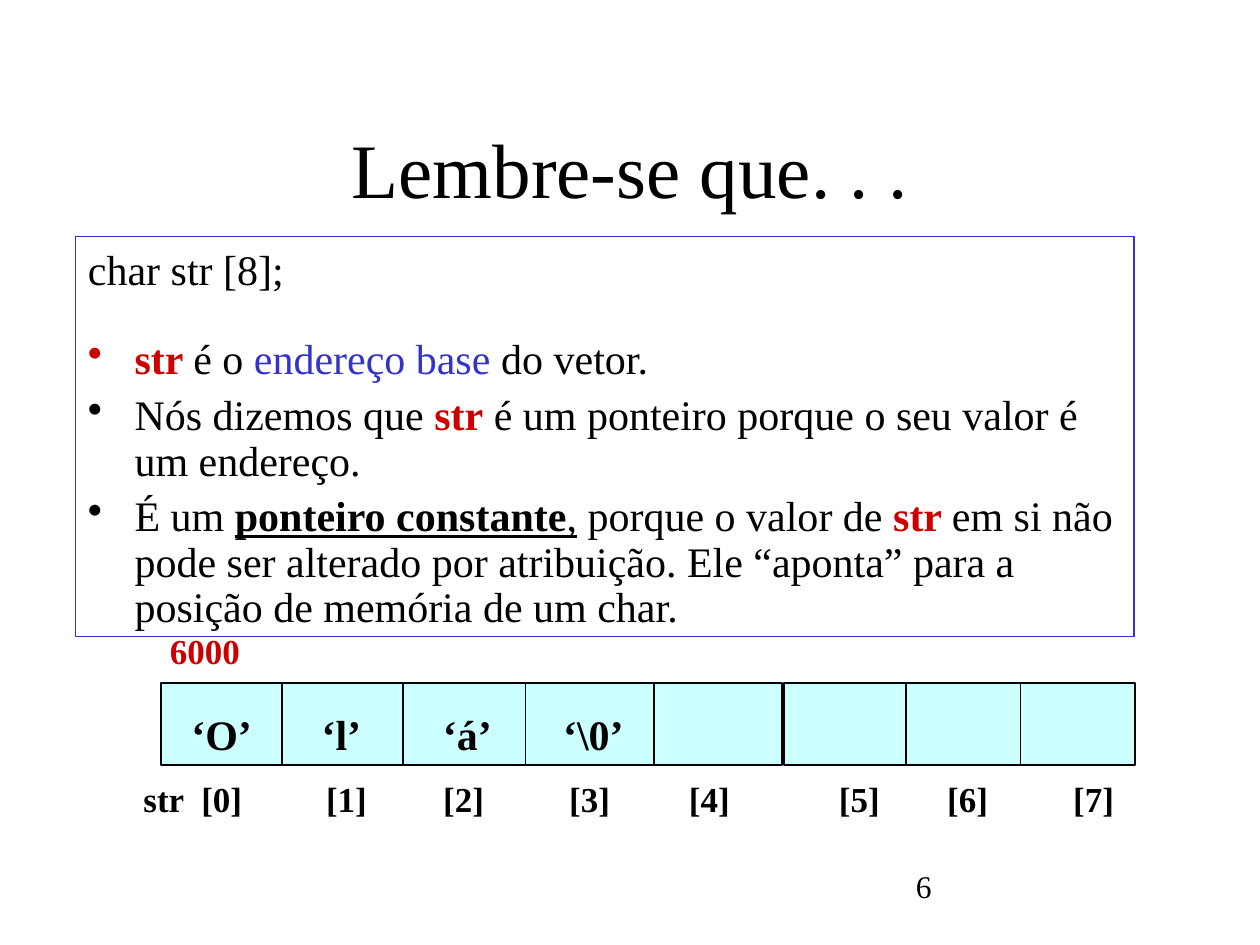
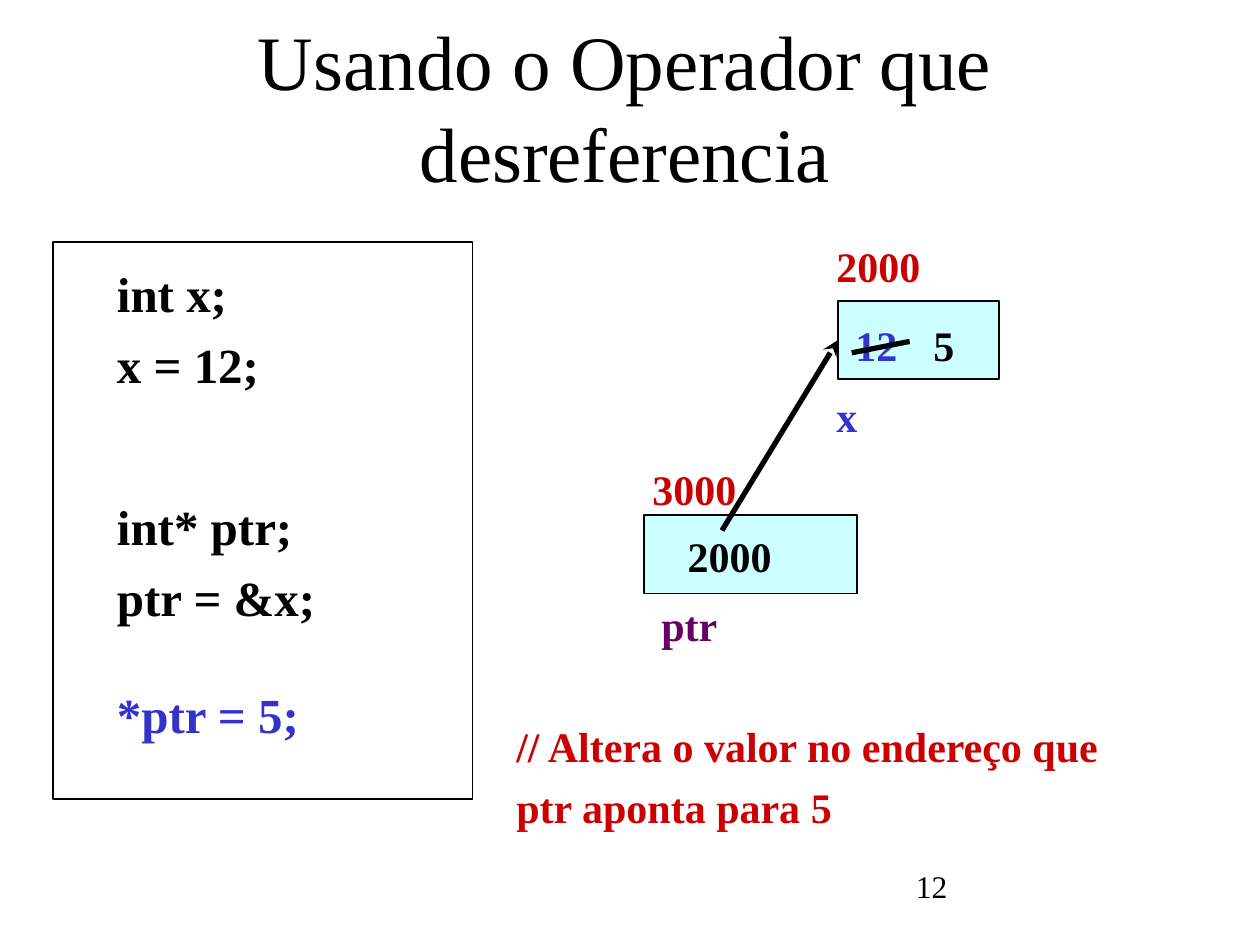
import pptx
import pptx.util
import pptx.dml.color
import pptx.enum.shapes
import pptx.enum.text
import pptx.oxml.ns
import lxml.etree

Inches = pptx.util.Inches
Pt = pptx.util.Pt
ALIGN = pptx.enum.text.PP_ALIGN
ANCHOR = pptx.enum.text.MSO_ANCHOR

COLORS = {
    "black": "000000",
    "white": "FFFFFF",
    "red": "CC0000",
    "blue": "3333CC",
    "purple": "660066",
    "cell": "CCFFFF",
}


def rgb(name):
    return pptx.dml.color.RGBColor.from_string(COLORS[name])


def add_xml(parent, tag, **attributes):
    return lxml.etree.SubElement(parent, pptx.oxml.ns.qn(tag), **attributes)


class Deck:
    font_name = "Times New Roman"

    def __init__(self):
        self.presentation = pptx.Presentation()
        self.presentation.slide_width = Inches(10)
        self.presentation.slide_height = Inches(7.5)
        self.slide = None

    def new_slide(self, title, left, top, width, number):
        self.slide = self.presentation.slides.add_slide(self.presentation.slide_layouts[6])
        self.label(str(number), 7.17, 6.83, 2.08, 0.5, size=18, bold=False)
        self.label(title, left, top, width, 1.25, size=44, bold=False,
                   align=ALIGN.CENTER, anchor=ANCHOR.BOTTOM)

    def run(self, paragraph, text, size, color="black", **formats):
        run = paragraph.add_run()
        run.text = text
        run.font.color.rgb = rgb(color)
        for name, value in {"name": self.font_name, "size": Pt(size), **formats}.items():
            setattr(run.font, name, value)

    def text_box(self, left, top, width, height, wrap=True, anchor=ANCHOR.TOP, inset_top=0.05):
        box = self.slide.shapes.add_textbox(Inches(left), Inches(top), Inches(width), Inches(height))
        formats = {
            "word_wrap": wrap,
            "vertical_anchor": anchor,
            "margin_left": Inches(0.1),
            "margin_right": Inches(0.1),
            "margin_top": Inches(inset_top),
            "margin_bottom": Inches(0.05),
        }
        for name, value in formats.items():
            setattr(box.text_frame, name, value)
        return box

    def label(self, text, left, top, width, height=0.51, size=24, color="black", bold=True,
              align=ALIGN.LEFT, anchor=ANCHOR.TOP):
        box = self.text_box(left, top, width, height, anchor=anchor)
        paragraph = box.text_frame.paragraphs[0]
        paragraph.alignment = align
        self.run(paragraph, text, size, color, bold=bold)
        return box

    def centered_labels(self, texts, centers, top, size):
        width = 0.8
        for text, center in zip(texts, centers):
            self.label(text, center - width / 2, top, width, size=size, align=ALIGN.CENTER)

    def paragraphs(self, box, items, size, line_spacing=1.0):
        frame = box.text_frame
        for index, (space_before, bullet_color, runs) in enumerate(items):
            paragraph = frame.add_paragraph() if index else frame.paragraphs[0]
            paragraph.space_before = Pt(space_before)
            paragraph.line_spacing = line_spacing
            if bullet_color:
                self.bullet(paragraph, bullet_color)
            for text, formats in runs:
                self.run(paragraph, text, size, **formats)

    def bullet(self, paragraph, color):
        properties = paragraph._p.get_or_add_pPr()
        properties.set("marL", str(Inches(0.37)))
        properties.set("indent", str(-Inches(0.37)))
        add_xml(add_xml(properties, "a:buClr"), "a:srgbClr", val=COLORS[color])
        add_xml(properties, "a:buChar", char="•")

    def rectangle(self, left, top, width, height, fill="cell"):
        shape = self.slide.shapes.add_shape(
            pptx.enum.shapes.MSO_SHAPE.RECTANGLE,
            Inches(left), Inches(top), Inches(width), Inches(height))
        shape.shadow.inherit = False
        self.fill(shape, fill)
        self.outline(shape, "black", 1)
        return shape

    def fill(self, shape, color):
        shape.fill.solid()
        shape.fill.fore_color.rgb = rgb(color)

    def outline(self, shape, color, width):
        shape.line.color.rgb = rgb(color)
        shape.line.width = Pt(width)

    def line(self, start, end, width=1, target=None, arrow=False):
        connector = self.slide.shapes.add_connector(
            pptx.enum.shapes.MSO_CONNECTOR.STRAIGHT,
            *(Inches(value) for value in (*start, *end)))
        self.outline(connector, "black", width)
        if target is not None:
            connector.end_connect(target, 1)
        if arrow:
            add_xml(connector.line._get_or_add_ln(), "a:tailEnd", type="stealth")
        add_xml(connector._element.spPr, "a:effectLst")


def build_array_slide(deck):
    deck.new_slide("Lembre-se que. . .", 0.75, 0.5, 8.5, 6)
    plain = {}
    red_bold = {"color": "red", "bold": True}
    body = deck.text_box(0.6, 1.88, 8.4, 3.17, inset_top=0.1)
    deck.outline(body, "blue", 0.75)
    deck.paragraphs(body, [
        (7, None, [("char str [8];", plain)]),
        (25, "red", [("str ", red_bold), ("é o ", plain),
                     ("endereço base ", {"color": "blue"}), ("do vetor.", plain)]),
        (6, "black", [("Nós dizemos que ", plain), ("str", red_bold),
                      (" é um ponteiro porque o seu valor é um endereço.", plain)]),
        (6, "black", [("É um ", plain),
                      ("ponteiro constante", {"bold": True, "underline": True}),
                      (",", {"underline": True}), (" porque o valor de ", plain),
                      ("str ", red_bold),
                      ("em si não pode ser alterado por atribuição. Ele “aponta” "
                       "para a posição de memória de um char.", plain)]),
    ], size=24, line_spacing=0.9)

    array_top, array_height = 5.42, 0.65
    for left, width, dividers in ((1.28, 4.93, (2.24, 3.2, 4.17, 5.19)),
                                  (6.22, 2.79, (7.19, 8.1))):
        deck.rectangle(left, array_top, width, array_height)
        for x in dividers:
            deck.line((x, array_top), (x, array_top + array_height + 0.01))

    deck.centered_labels(("‘O’", "‘l’", "‘á’", "‘\\0’"), (1.76, 2.71, 3.71, 4.71), 5.57, 24)
    index_centers = (1.76, 2.75, 3.68, 4.68, 5.63, 6.82, 7.68, 8.68)
    deck.centered_labels([f"[{index}]" for index in range(8)], index_centers, 6.12, 20)
    deck.label("str", 1.04, 6.12, 0.6, size=20)
    deck.label("6000", 1.25, 4.95, 0.76, size=20, color="red")


def build_pointer_slide(deck):
    deck.new_slide("Usando o Operador que desreferencia", 0.67, 0.37, 8.58, 12)
    deck.rectangle(0.42, 1.92, 3.33, 4.42, fill="white")
    code = deck.text_box(0.83, 2.04, 2.75, 4.3)
    code_lines = (
        (7, "int x;", "black"),
        (7, "x = 12;", "black"),
        (59, "int* ptr;", "black"),
        (7, "ptr = &x;", "black"),
        (33, "*ptr = 5;", "blue"),
    )
    deck.paragraphs(code, [(space, None, [(text, {"color": color, "bold": True})])
                           for space, text, color in code_lines], size=28)

    x_cell = deck.rectangle(6.65, 2.39, 1.28, 0.62)
    deck.rectangle(5.11, 4.09, 1.69, 0.62)
    deck.line((5.73, 4.21), (6.65, 2.7), width=3, target=x_cell, arrow=True)
    for text, left, top, color in (
        ("2000", 6.54, 1.86, "red"),
        ("12", 6.69, 2.49, "blue"),
        ("x", 6.54, 3.05, "blue"),
        ("3000", 5.08, 3.63, "red"),
        ("2000", 5.36, 4.16, "black"),
        ("ptr", 5.15, 4.71, "purple"),
    ):
        deck.label(text, left, top, 1, color=color)
    deck.fill(deck.label("5", 7.31, 2.49, 0.37), "cell")
    deck.line((6.76, 2.8), (7.22, 2.71), width=3)

    comment = deck.text_box(4, 5.67, 5.67, 0.92)
    deck.paragraphs(comment, [(6, None, [(text, {"color": "red", "bold": True})])
                              for text in ("// Altera o valor no endereço que",
                                           "ptr aponta para 5")], size=24)


def main():
    deck = Deck()
    build_array_slide(deck)
    build_pointer_slide(deck)
    deck.presentation.save("out.pptx")


if __name__ == "__main__":
    main()
